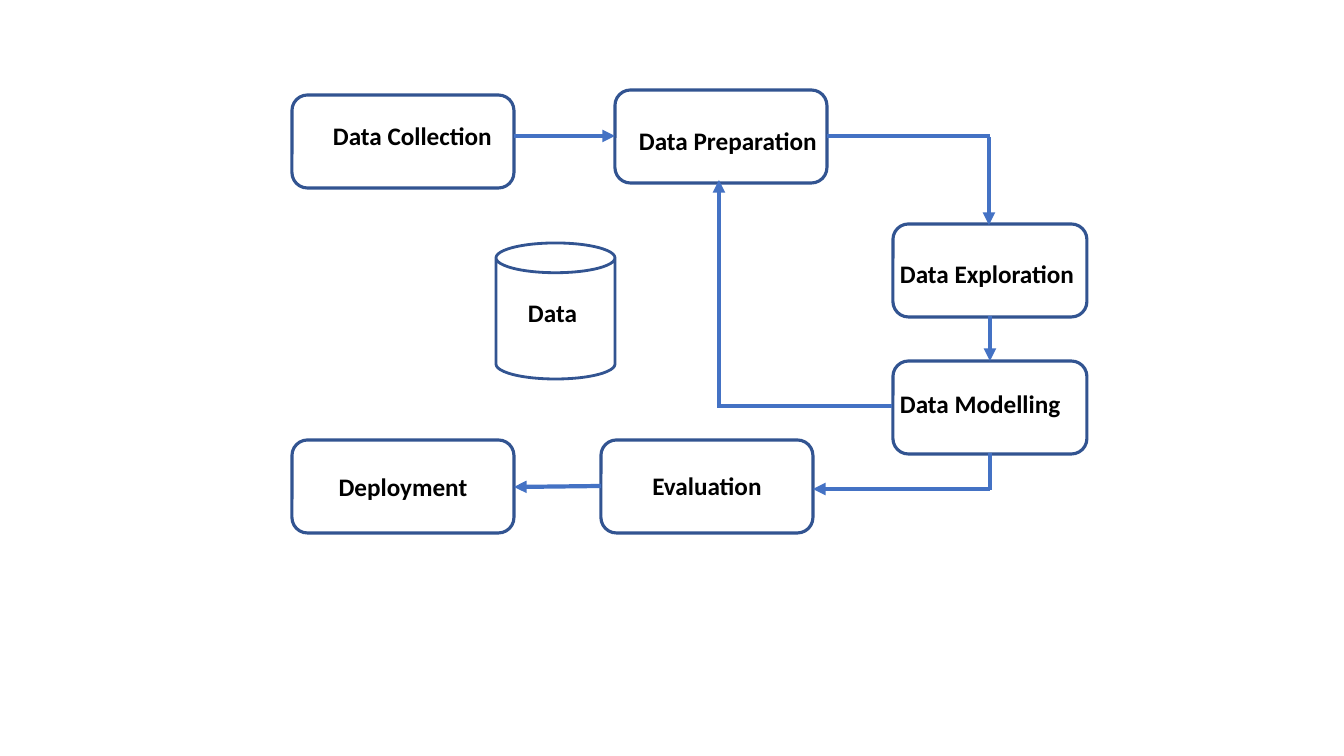
from typing import NamedTuple

from pptx import Presentation
from pptx.dml.color import RGBColor
from pptx.enum.shapes import MSO_CONNECTOR, MSO_SHAPE
from pptx.enum.text import MSO_AUTO_SIZE, PP_ALIGN
from pptx.oxml.ns import qn
from pptx.util import Emu, Pt
from lxml.etree import SubElement

COLORS = {"outline": "325491", "arrow": "4472C4", "text": "000000"}
FONT = "Calibri"
EMU_PER_PX = 914400 / 100.8
BOX_H = 93
LABEL_H = 40


class Node(NamedTuple):
    x: int
    y: int
    w: int
    h: int = BOX_H
    kind: MSO_SHAPE = MSO_SHAPE.ROUNDED_RECTANGLE
    weight: float = 2.25


class Label(NamedTuple):
    text: str
    x: int
    y: int
    w: int
    centered: bool = False


class Link(NamedTuple):
    x1: int
    y1: int
    x2: int
    y2: int
    arrow: bool = True


NODES = [
    Node(292, 95, 222),
    Node(615, 90, 212),
    Node(893, 224, 194),
    Node(893, 361, 194),
    Node(601, 440, 212),
    Node(292, 440, 222),
    Node(496, 243, 119, 136, MSO_SHAPE.CAN, 2),
]

LINKS = [
    Link(514, 136, 615, 136),
    Link(827, 136, 990, 136, False),
    Link(989, 137, 989, 225),
    Link(990, 316, 990, 361),
    Link(990, 453, 990, 490, False),
    Link(990, 489, 813, 489),
    Link(601, 486, 514, 487),
    Link(892, 406, 719, 406, False),
    Link(719, 408, 719, 180),
]

LABELS = [
    Label("Data Collection", 323, 115, 180),
    Label("Data Preparation", 629, 120, 200),
    Label("Data Exploration", 890, 253, 197),
    Label("Data Modelling", 890, 383, 182),
    Label("Evaluation", 601, 465, 212, True),
    Label("Deployment", 297, 466, 212, True),
    Label("Data", 461, 292, 183, True),
]


def px(n: int) -> Emu:
    """Turn pixels into EMU."""
    return Emu(round(n * EMU_PER_PX))


def rgb(name: str) -> RGBColor:
    """Look up a named colour."""
    return RGBColor.from_string(COLORS[name])


def draw_node(s, node: Node) -> None:
    """Draw one outlined process box or data store."""
    sp = s.shapes.add_shape(node.kind, px(node.x), px(node.y), px(node.w), px(node.h))
    sp.shadow.inherit = False
    sp.fill.background()
    sp.line.color.rgb = rgb("outline")
    sp.line.width = Pt(node.weight)


def draw_link(s, link: Link) -> None:
    """Draw one straight flow line, with an arrowhead at its end if wanted."""
    ends = map(px, link[:4])
    cx = s.shapes.add_connector(MSO_CONNECTOR.STRAIGHT, *ends)
    cx.line.color.rgb = rgb("arrow")
    cx.line.width = Pt(3)
    if link.arrow:
        SubElement(cx.line._get_or_add_ln(), qn("a:tailEnd"), type="triangle")
    SubElement(cx._element.spPr, qn("a:effectLst"))


def draw_label(s, label: Label) -> None:
    """Write one bold step name."""
    sp = s.shapes.add_textbox(px(label.x), px(label.y), px(label.w), px(LABEL_H))
    tf = sp.text_frame
    tf.word_wrap = label.centered
    tf.auto_size = MSO_AUTO_SIZE.SHAPE_TO_FIT_TEXT
    p = tf.paragraphs[0]
    p.alignment = PP_ALIGN.CENTER if label.centered else PP_ALIGN.LEFT
    r = p.add_run()
    r.text = label.text
    r.font.name = FONT
    r.font.size = Pt(18)
    r.font.bold = True
    r.font.color.rgb = rgb("text")


def main() -> None:
    """Build the data workflow slide and save it."""
    prs = Presentation()
    prs.slide_width, prs.slide_height = px(1344), px(756)
    s = prs.slides.add_slide(prs.slide_layouts[6])
    for node in NODES:
        draw_node(s, node)
    for link in LINKS:
        draw_link(s, link)
    for label in LABELS:
        draw_label(s, label)
    prs.save("out.pptx")


main()
